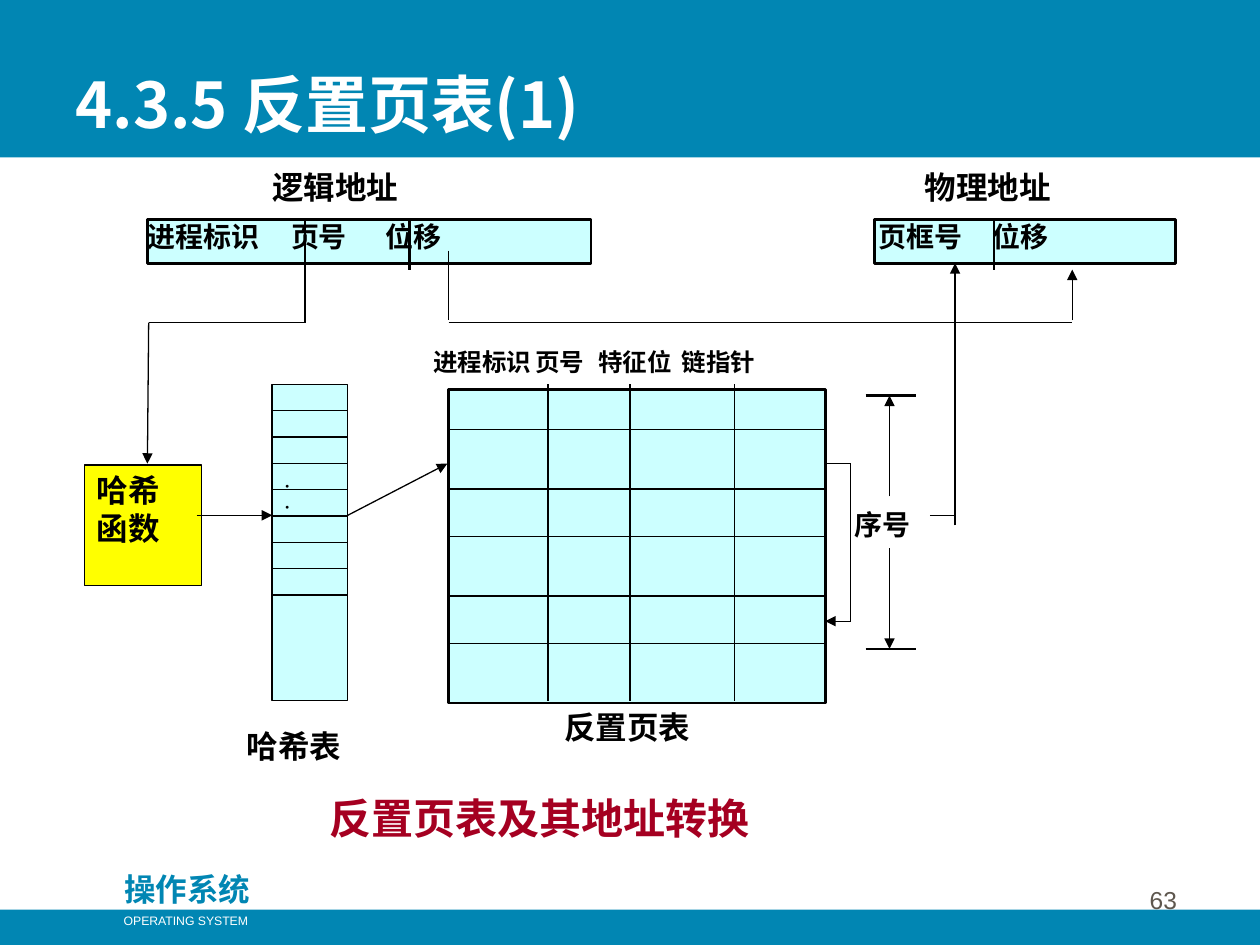
from lxml.etree import SubElement
from pptx import Presentation
from pptx.dml.color import RGBColor
from pptx.enum.shapes import MSO_CONNECTOR, MSO_SHAPE
from pptx.enum.text import MSO_ANCHOR as ANCHOR, MSO_AUTO_SIZE, PP_ALIGN as ALIGN
from pptx.oxml.ns import qn
from pptx.util import Inches, Pt

COLORS = {
    "blue": "0186B3", "cyan": "CCFFFF", "yellow": "FFFF00", "white": "FFFFFF",
    "black": "000000", "red": "A50021", "gray": "5E574E",
}
CJK = "Noto Sans CJK SC"
NO_INSETS = (0, 0, 0, 0)
INSETS = (0.1, 0.05, 0.1, 0.05)


def rgb(name):
    return RGBColor.from_string(COLORS[name])


def add_tabs(p, stops):
    tabs = SubElement(p._p.get_or_add_pPr(), qn("a:tabLst"))
    for stop in stops:
        SubElement(tabs, qn("a:tab"), pos=str(Inches(stop)), algn="l")


def set_text(sp, text, size, color="black", font=CJK, bold=True, align=ALIGN.LEFT,
             anchor=ANCHOR.TOP, insets=NO_INSETS, tabs=(), wrap=True):
    tf = sp.text_frame
    tf.text = text
    tf.word_wrap = wrap
    tf.auto_size = MSO_AUTO_SIZE.NONE
    tf.vertical_anchor = anchor
    tf.margin_left, tf.margin_top, tf.margin_right, tf.margin_bottom = map(Inches, insets)
    for p in tf.paragraphs:
        if tabs:
            add_tabs(p, tabs)
        p.alignment = align
        for r in p.runs:
            r.font.size = Pt(size)
            r.font.bold = bold
            r.font.name = font
            r.font.color.rgb = rgb(color)
            SubElement(r._r.get_or_add_rPr(), qn("a:ea"), typeface=font)


def add_label(slide, box, text, size, **style):
    sp = slide.shapes.add_textbox(*map(Inches, box))
    set_text(sp, text, size, **style)


def add_box(slide, box, fill=None, line="black", width=0.75):
    sp = slide.shapes.add_shape(MSO_SHAPE.RECTANGLE, *map(Inches, box))
    sp.shadow.inherit = False
    if fill:
        sp.fill.solid()
        sp.fill.fore_color.rgb = rgb(fill)
    else:
        sp.fill.background()
    if line:
        sp.line.color.rgb = rgb(line)
        sp.line.width = Pt(width)
    else:
        sp.line.fill.background()
    return sp


def add_line(slide, x1, y1, x2, y2, width=0.75, arrow=False):
    cx = slide.shapes.add_connector(MSO_CONNECTOR.STRAIGHT, *map(Inches, (x1, y1, x2, y2)))
    cx.line.color.rgb = rgb("black")
    cx.line.width = Pt(width)
    if arrow:
        SubElement(cx.line._get_or_add_ln(), qn("a:tailEnd"), type="triangle")
    SubElement(cx._element.spPr, qn("a:effectLst"))


def add_frame(slide):
    """Title band, footer band, course name and page number."""
    add_box(slide, (0, 0, 10, 1.25), "blue", None)
    add_box(slide, (0, 7.22, 10, 0.28), "blue", None)
    add_label(slide, (0.83, 6.86, 1.31, 0.4), "操作系统", 18, color="blue",
              align=ALIGN.CENTER, insets=INSETS)
    add_label(slide, (0.88, 7.2, 1.19, 0.22), "OPERATING SYSTEM", 7, color="white",
              font="Arial", bold=False, align=ALIGN.CENTER, insets=INSETS, wrap=False)
    add_label(slide, (7.36, 6.81, 2.08, 0.5), "63", 14, color="gray", font="Arial",
              bold=False, align=ALIGN.RIGHT, anchor=ANCHOR.BOTTOM, insets=INSETS)
    title = slide.shapes.title
    title.left, title.top, title.width, title.height = map(Inches, (0.5, 0.25, 8.5, 0.92))
    set_text(title, "4.3.5 反置页表(1)", 36, color="white", anchor=ANCHOR.BOTTOM, insets=INSETS)
    slide.shapes._spTree.append(title._element)  # bring in front of the band


def add_address(slide, left, width, text, insets, tabs, dividers):
    top = 1.74
    sp = add_box(slide, (left, top, width, 0.35), "cyan", width=1.5)
    set_text(sp, text, 16, insets=insets, tabs=tabs)
    for x in dividers:
        add_line(slide, x, top, x, top + 0.4, 1.5)


def add_hash_table(slide):
    left, top, width, height = 2.16, 3.05, 0.6, 2.51
    sp = add_box(slide, (left, top, width, height), "cyan")
    set_text(sp, "·\n·", 10, font="Times New Roman", insets=(0.1, 0.72, 0.1, 0.05))
    for row in range(1, 9):
        y = top + row * height / 12
        add_line(slide, left, y, left + width, y)


def add_page_table(slide):
    left, top, width, height = 3.56, 3.09, 2.99, 2.49
    add_box(slide, (left, top, width, height), "cyan", width=1.5)
    for x in (4.35, 5, 5.83):
        add_line(slide, x, 3.05, x, 5.56)
    for y in (3.41, 3.88, 4.26, 4.73, 5.11):
        add_line(slide, left, y, left + width, y)
    add_label(slide, (3.44, 2.75, 3.3, 0.39), "进程标识\t页号\t特征位\t链指针", 14,
              tabs=(0.81, 1.31, 1.97))


def add_index_range(slide):
    """Vertical span beside the page table that marks the entry index."""
    for start, end in ((3.94, 3.14), (4.35, 5.15)):
        add_line(slide, 6.87, end, 7.27, end, 1.5)
        add_line(slide, 7.06, start, 7.06, end, arrow=True)
    add_label(slide, (6.78, 4.03, 0.6, 0.42), "序号", 16)


def add_route(slide, *points, arrow=True):
    """Straight segments through the points; the last one carries the arrowhead."""
    last = len(points) - 2
    for i, (start, end) in enumerate(zip(points, points[1:])):
        add_line(slide, *start, *end, arrow=arrow and i == last)


def main():
    prs = Presentation()
    prs.slide_width, prs.slide_height = Inches(10), Inches(7.5)
    slide = prs.slides.add_slide(prs.slide_layouts[5])
    add_frame(slide)

    add_address(slide, 1.17, 3.52, "进程标识\t页号\t位移", NO_INSETS, (1.14, 1.89), (2.42, 3.25))
    add_address(slide, 6.94, 2.39, "页框号\t位移", (0.03, 0, 0, 0), (0.91,), (7.89,))
    add_hash_table(slide)
    add_page_table(slide)
    add_index_range(slide)
    hash_function = add_box(slide, (0.67, 3.69, 0.93, 0.96), "yellow")
    set_text(hash_function, "哈希\n函数", 18, insets=INSETS)

    for box, text in (
        ((2.16, 1.33, 1.29, 0.28), "逻辑地址"),
        ((7.34, 1.33, 1.27, 0.38), "物理地址"),
        ((1.96, 5.77, 0.99, 0.4), "哈希表"),
        ((4.48, 5.62, 1.38, 0.34), "反置页表"),
    ):
        add_label(slide, box, text, 18)

    add_route(slide, (2.42, 2.14), (2.42, 2.56), (1.18, 2.56), (1.17, 3.68))
    add_route(slide, (1.56, 4.09), (2.16, 4.09))
    add_route(slide, (2.76, 4.09), (3.55, 3.68))
    add_route(slide, (6.55, 3.68), (6.75, 3.68), (6.75, 4.93), (6.55, 4.93))
    add_route(slide, (7.38, 4.09), (7.58, 4.09), arrow=False)
    add_route(slide, (7.58, 4.17), (7.58, 2.09))
    add_route(slide, (3.56, 1.99), (3.56, 2.54), arrow=False)
    add_route(slide, (3.56, 2.56), (8.51, 2.56), arrow=False)
    add_route(slide, (8.51, 2.54), (8.51, 2.14))

    caption = add_box(slide, (2.52, 6.24, 4.93, 0.76), line="white")
    set_text(caption, "反置页表及其地址转换", 24, color="red", insets=INSETS)
    prs.save("out.pptx")


if __name__ == "__main__":
    main()
